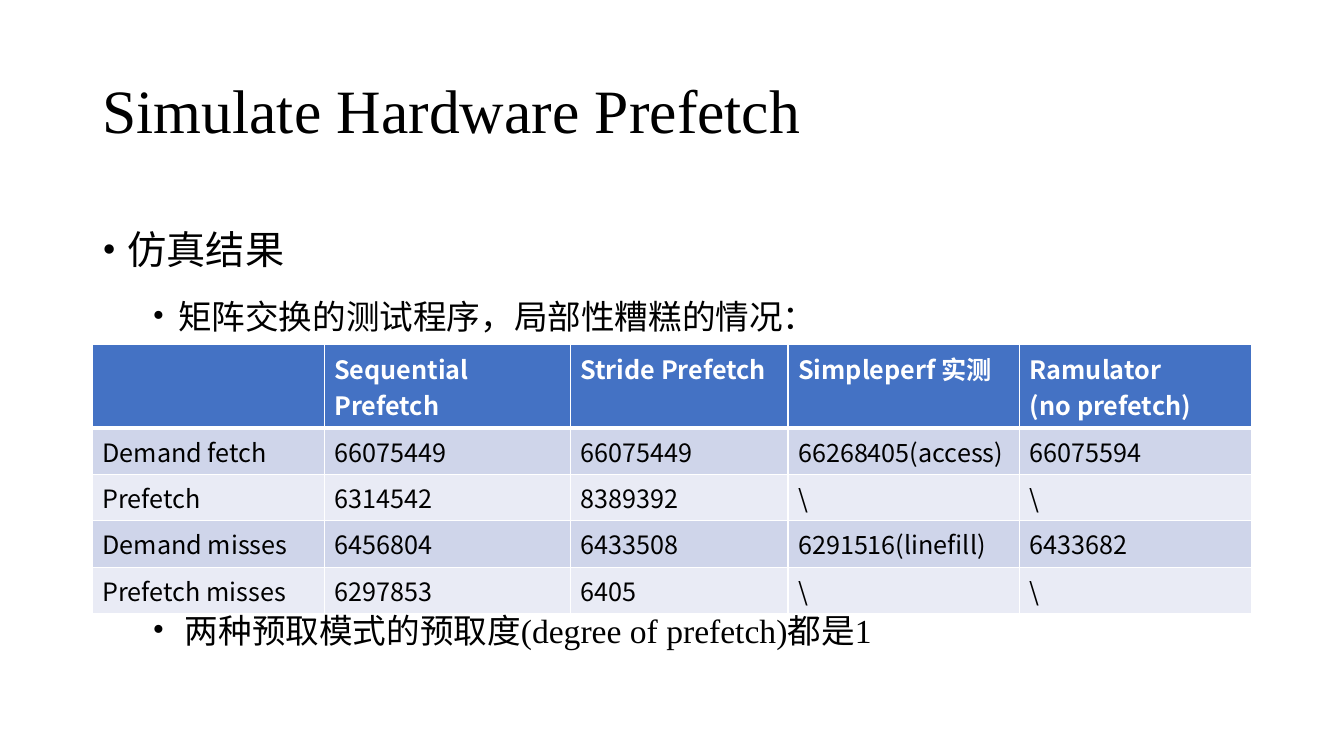
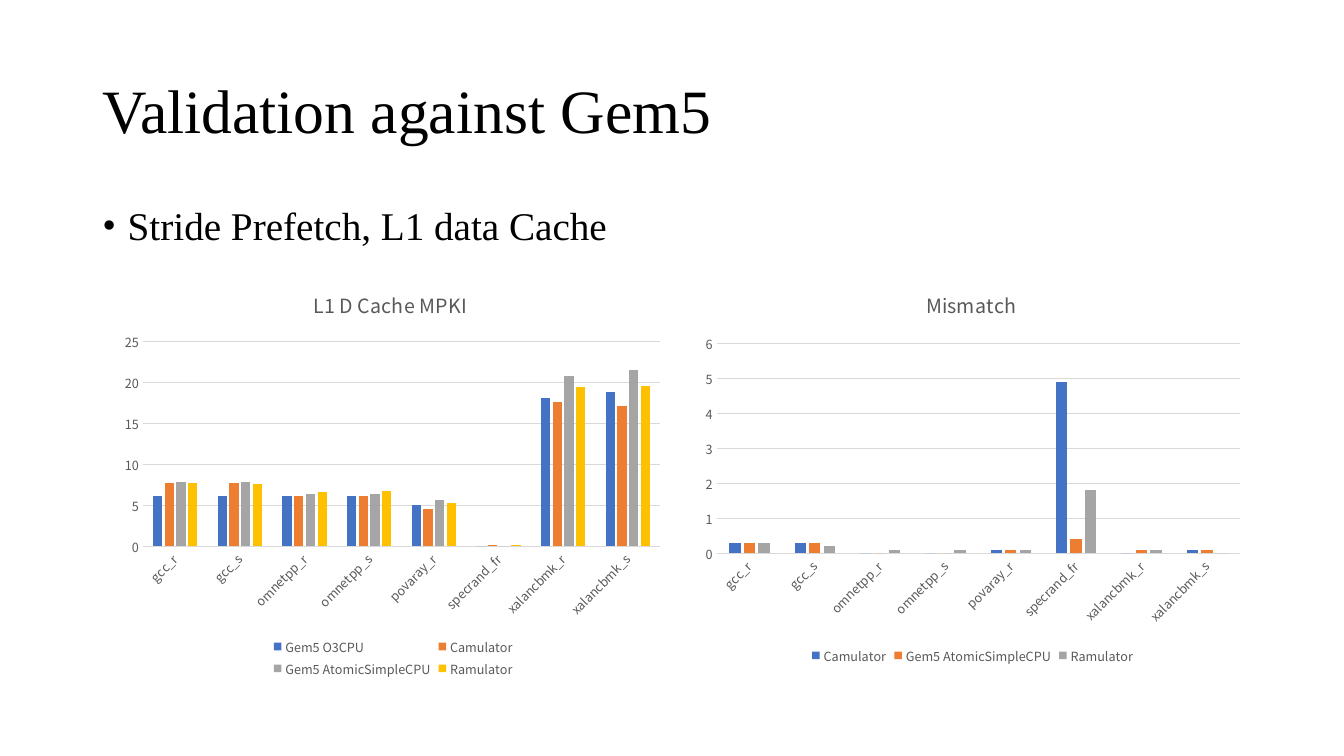
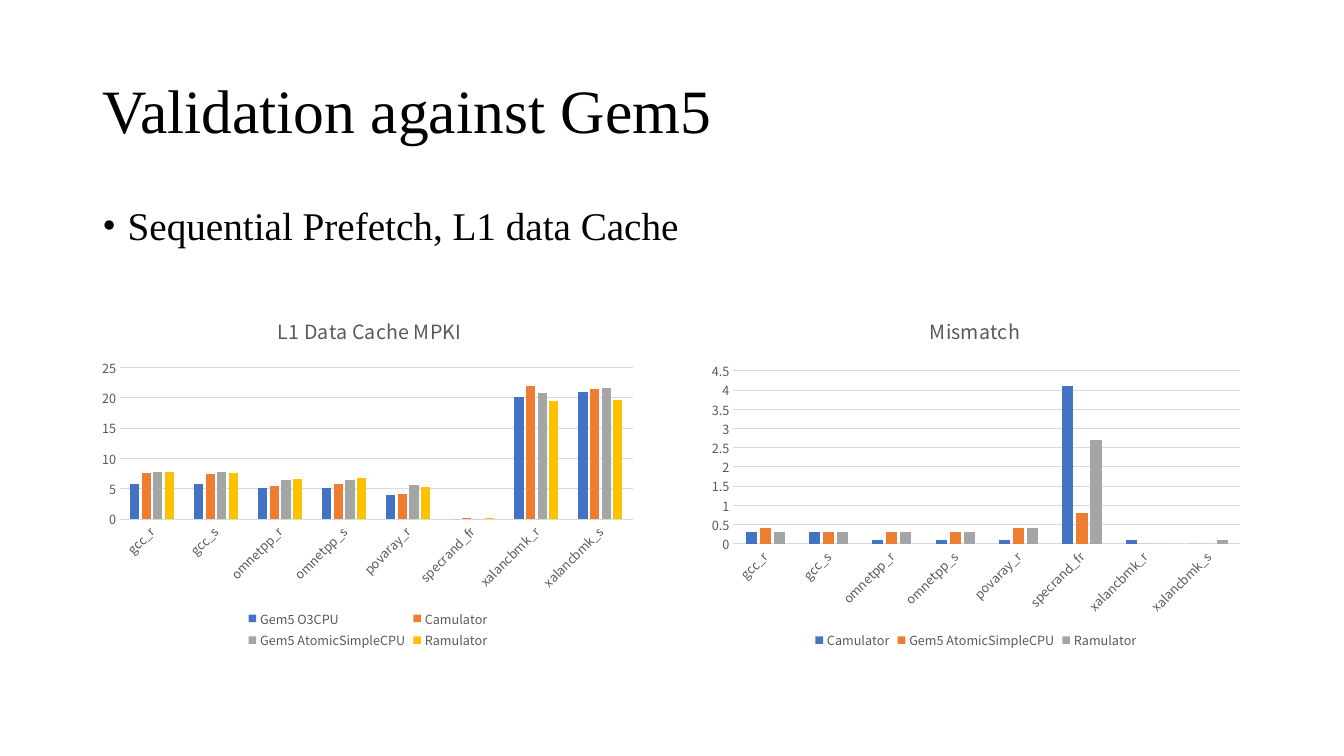
"""Build three slides on hardware prefetch simulation and its validation."""
from dataclasses import dataclass

from pptx import Presentation
from pptx.chart import data
from pptx.dml import color
from pptx.enum import chart as ch, text as tx
from pptx.oxml import ns, xmlchemy as xml
from pptx.util import Cm, Pt


@dataclass(frozen=True)
class Theme:
    serif: str = "Times New Roman"
    sans: str = "Noto Sans CJK SC"
    ink: str = "000000"
    white: str = "FFFFFF"
    gray: str = "595959"
    rule: str = "D9D9D9"
    head: str = "4472C4"
    bands: tuple = ("CFD5EA", "E9EBF5")
    hues: tuple = ("4472C4", "ED7D31", "A5A5A5", "FFC000")
    title: int = 44
    big: int = 28
    sub: int = 24
    cell: int = 18
    label: int = 14
    tick: int = 9


T = Theme()
LEFT, WIDTH = 2.33, 29.21
NAMES = ["gcc_r", "gcc_s", "omnetpp_r", "omnetpp_s",
         "povaray_r", "specrand_fr", "xalancbmk_r", "xalancbmk_s"]
CPU, CAM, ATOM, RAM = "Gem5 O3CPU", "Camulator", "Gem5 AtomicSimpleCPU", "Ramulator"
ATOMS = [7.8, 7.8, 6.4, 6.4, 5.6, 0, 20.8, 21.6]
RAMS = [7.7, 7.6, 6.6, 6.7, 5.3, 0.1, 19.5, 19.6]

TOPIC = "Simulate Hardware Prefetch"
POINTS = [
    dict(words="仿真结果", size=T.big, font=T.sans, lead=1.4),
    dict(words="矩阵交换的测试程序，局部性糟糕的情况：", size=T.sub,
         font=T.sans, lead=1.4, gap=5, margin=1.91),
    dict(words="两种预取模式的预取度(degree of prefetch)都是1", size=T.sub,
         font=T.serif, lead=1.4, gap=184, margin=2.08, hang=0.81),
]
COLS = [5.84, 6.2, 5.49, 5.84, 5.84]
ROWS = [
    ["", "Sequential Prefetch", "Stride Prefetch", "Simpleperf 实测",
     "Ramulator\n(no prefetch)"],
    ["Demand fetch", "66075449", "66075449", "66268405(access)", "66075594"],
    ["Prefetch", "6314542", "8389392", "\\", "\\"],
    ["Demand misses", "6456804", "6433508", "6291516(linefill)", "6433682"],
    ["Prefetch misses", "6297853", "6405", "\\", "\\"],
]
CHECK = "Validation against Gem5"
TESTS = [
    ("Stride Prefetch, L1 data Cache", [
        dict(name="L1 D Cache MPKI", at=(2.9, 6.86, 14.02, 10.31), top=25, step=5,
             head=(0.35, 0.03), plot=(0.05, 0.17, 0.93, 0.5),
             rows={CPU: [6.1, 6.1, 6.2, 6.2, 5, 0, 18.1, 18.9],
                   CAM: [7.7, 7.7, 6.1, 6.2, 4.6, 0.2, 17.6, 17.2],
                   ATOM: ATOMS, RAM: RAMS}),
        dict(name="Mismatch", at=(17.5, 6.86, 14.02, 9.98), top=6, step=1,
             head=(0.41, 0.03), plot=(0.04, 0.18, 0.94, 0.53),
             rows={CAM: [0.3, 0.3, 0, 0, 0.1, 4.9, 0, 0.1],
                   ATOM: [0.3, 0.3, 0, 0, 0.1, 0.4, 0.1, 0.1],
                   RAM: [0.3, 0.2, 0.1, 0.1, 0.1, 1.8, 0.1, 0]}),
    ]),
    ("Sequential Prefetch, L1 data Cache", [
        dict(name="L1 Data Cache MPKI", at=(LEFT, 7.57, 13.89, 8.89), top=25, step=5,
             head=(0.33, 0.03), plot=(0.05, 0.19, 0.93, 0.43),
             rows={CPU: [5.8, 5.8, 5.1, 5.1, 3.9, 0, 20.1, 21],
                   CAM: [7.6, 7.5, 5.4, 5.8, 4.1, 0.1, 21.9, 21.4],
                   ATOM: ATOMS, RAM: RAMS}),
        dict(name="Mismatch", at=(17.65, 7.57, 13.89, 8.89), top=4.5, step=0.5,
             head=(0.41, 0.03), plot=(0.06, 0.2, 0.92, 0.49),
             rows={CAM: [0.3, 0.3, 0.1, 0.1, 0.1, 4.1, 0.1, 0],
                   ATOM: [0.4, 0.3, 0.3, 0.3, 0.4, 0.8, 0, 0],
                   RAM: [0.3, 0.3, 0.3, 0.3, 0.4, 2.7, 0, 0.1]}),
    ]),
]


def rgb(hue):
    return color.RGBColor.from_string(hue)


def add(parent, tag, **attrs):
    node = xml.OxmlElement(tag)
    for key, val in attrs.items():
        node.set(key, str(val))
    parent.append(node)
    return node


def ink(font, size, hue=T.ink, face=T.sans, bold=False):
    font.size, font.name, font.bold = Pt(size), face, bold
    font.color.rgb = rgb(hue)


def style(para, *look, **more):
    for run in para.runs:
        ink(run.font, *look, **more)
        add(run.font._element, "a:ea", typeface=T.sans)


def start(deck, words):
    slide = deck.slides.add_slide(deck.slide_layouts[5])
    title = slide.shapes.title
    title.left, title.top = Cm(LEFT), Cm(1.01)
    title.width, title.height = Cm(WIDTH), Cm(3.68)
    frame = title.text_frame
    frame.text = words
    frame.auto_size = tx.MSO_AUTO_SIZE.NONE
    frame.vertical_anchor = tx.MSO_ANCHOR.MIDDLE
    para = frame.paragraphs[0]
    para.alignment, para.line_spacing = tx.PP_ALIGN.LEFT, 0.9
    style(para, T.title, face=T.serif)
    return slide


def bullet(para, words, size, font, lead=0.9, gap=0, margin=0.64, hang=0.64):
    para.text = words
    para.line_spacing, para.space_before = lead, Pt(gap)
    props = para._p.get_or_add_pPr()
    props.set("marL", str(Cm(margin)))
    props.set("indent", str(-Cm(hang)))
    add(props, "a:buFont", typeface=T.serif)
    add(props, "a:buChar", char="•")
    style(para, size, face=font)


def body(slide, points):
    box = slide.shapes.add_textbox(Cm(LEFT), Cm(5.08), Cm(WIDTH), Cm(12.09))
    frame = box.text_frame
    frame.word_wrap = True
    for num, point in enumerate(points):
        para = frame.add_paragraph() if num else frame.paragraphs[0]
        bullet(para, **point)


def edge(cell, side, width):
    line = add(cell._tc.get_or_add_tcPr(), "a:ln" + side, w=Pt(width))
    add(add(line, "a:solidFill"), "a:srgbClr", val=T.white)


def grid(slide):
    table = slide.shapes.add_table(len(ROWS), len(COLS), Cm(LEFT), Cm(8.69),
                                   Cm(WIDTH), Cm(6.77)).table
    for col, width in zip(table.columns, COLS):
        col.width = Cm(width)
    for r, row in enumerate(ROWS):
        table.rows[r].height = Cm(1.17 if r else 2.09)
        for c, words in enumerate(row):
            cell = table.cell(r, c)
            cell.text_frame.text = words
            for side in "LRTB":
                thick = (r, side) in ((0, "B"), (1, "T"))
                edge(cell, side, 3 if thick else 1)
            cell.fill.solid()
            cell.fill.fore_color.rgb = rgb(T.bands[(r - 1) % 2] if r else T.head)
            for para in cell.text_frame.paragraphs:
                style(para, T.cell, T.ink if r else T.white, bold=not r)
            if not words:
                cell.text_frame.paragraphs[0].font.size = Pt(T.cell)


def place(part, index, spot, inner=False):
    old = part.find(ns.qn("c:layout"))
    if old is not None:
        part.remove(old)
    lay = xml.OxmlElement("c:layout")
    part.insert(index, lay)
    man = add(lay, "c:manualLayout")
    if inner:
        add(man, "c:layoutTarget", val="inner")
    for key in "xy":
        add(man, f"c:{key}Mode", val="edge")
    for key, val in zip("xywh", spot):
        add(man, f"c:{key}", val=val)


def rule(line):
    line.color.rgb, line.width = rgb(T.rule), Pt(0.75)


def bars(slide, name, at, top, step, head, plot, rows):
    info = data.CategoryChartData()
    info.categories = NAMES
    for key, vals in rows.items():
        info.add_series(key, vals)
    chart = slide.shapes.add_chart(ch.XL_CHART_TYPE.COLUMN_CLUSTERED,
                                   *map(Cm, at), info).chart
    ink(chart.font, T.tick, T.gray)
    chart.has_title = True
    frame = chart.chart_title.text_frame
    frame.text = name
    style(frame.paragraphs[0], T.label, T.gray)
    place(chart.chart_title._element, 1, head)
    place(chart._chartSpace.chart.plotArea, 0, plot, True)
    chart.has_legend = True
    chart.legend.position = ch.XL_LEGEND_POSITION.BOTTOM
    chart.legend.include_in_layout = False
    ink(chart.legend.font, T.tick, T.gray)
    group = chart.plots[0]
    group.gap_width, group.overlap, group.vary_by_categories = 219, -27, False
    for hue, line in zip(T.hues, group.series):
        line.format.fill.solid()
        line.format.fill.fore_color.rgb = rgb(hue)
        line.invert_if_negative = False
    cat, val = chart.category_axis, chart.value_axis
    for axis in (cat, val):
        axis.major_tick_mark = axis.minor_tick_mark = ch.XL_TICK_MARK.NONE
        ink(axis.tick_labels.font, T.tick, T.gray)
    cat._element.txPr.bodyPr.set("rot", "-2700000")
    rule(cat.format.line)
    val.minimum_scale, val.maximum_scale, val.major_unit = 0, top, step
    val.format.line.fill.background()
    rule(val.major_gridlines.format.line)


def main():
    deck = Presentation()
    deck.slide_width, deck.slide_height = Cm(33.87), Cm(19.05)
    slide = start(deck, TOPIC)
    body(slide, POINTS)
    grid(slide)
    for words, charts in TESTS:
        slide = start(deck, CHECK)
        body(slide, [dict(words=words, size=T.big, font=T.serif)])
        for item in charts:
            bars(slide, **item)
    deck.save("out.pptx")


if __name__ == "__main__":
    main()
